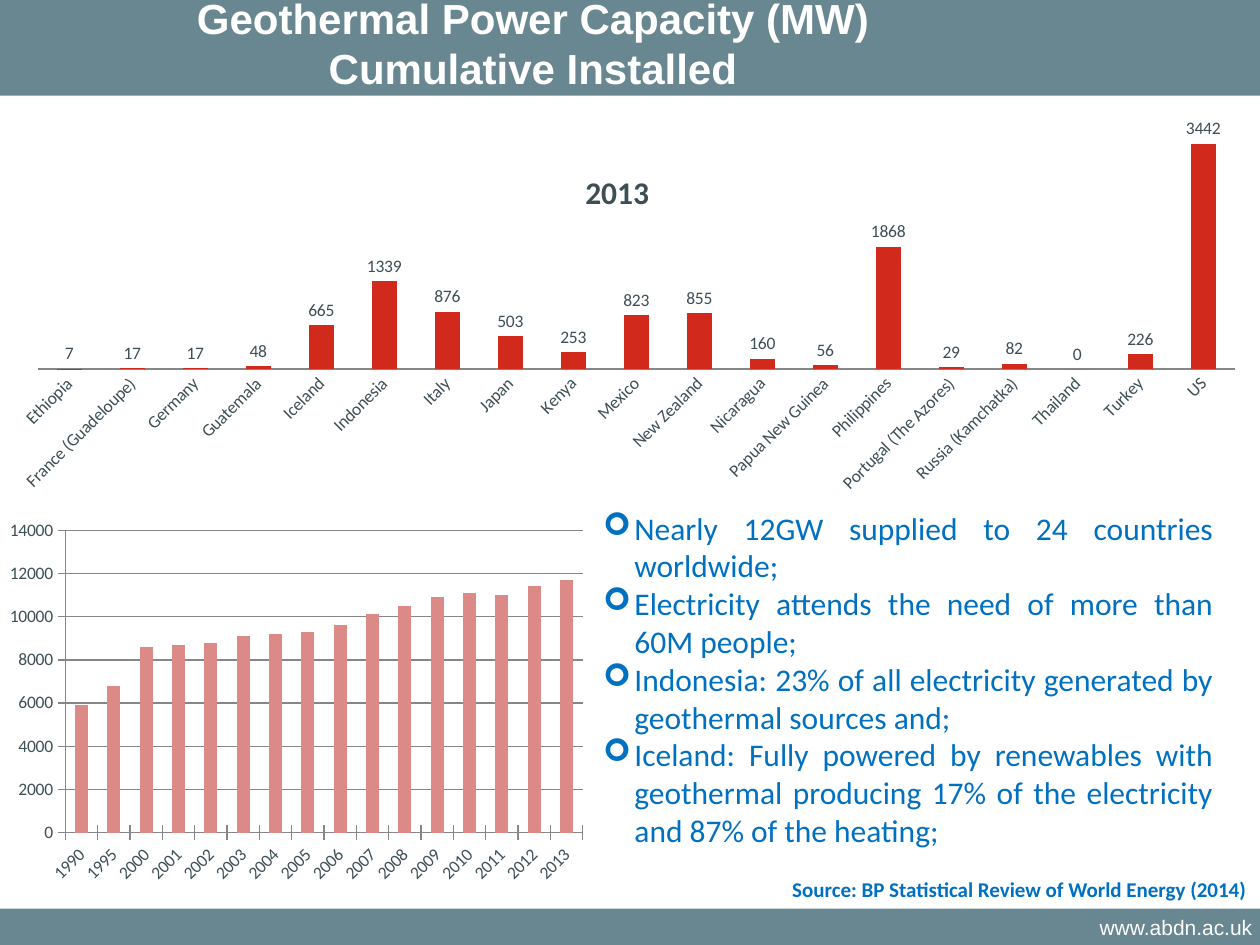
from lxml import etree
from pptx import Presentation
from pptx.chart.data import CategoryChartData
from pptx.dml.color import RGBColor
from pptx.enum import chart as charts, shapes, text
from pptx.oxml import parse_xml
from pptx.oxml.ns import nsdecls, qn
from pptx.util import Cm, Pt

TEAL = RGBColor(0x68, 0x87, 0x91)
WHITE = RGBColor(0xFF, 0xFF, 0xFF)
BLUE = RGBColor(0x00, 0x70, 0xC0)
SLATE = RGBColor(0x3D, 0x4F, 0x55)
GREY = RGBColor(0x86, 0x86, 0x86)
RED = RGBColor(0xD1, 0x2A, 0x1D)
PINK = RGBColor(0xDC, 0x8A, 0x87)

TITLE = ["Geothermal Power Capacity (MW)", "Cumulative Installed"]
FACTS = [
    "Nearly 12GW supplied to 24 countries worldwide;",
    "Electricity attends the need of more than 60M people;",
    "Indonesia: 23% of all electricity generated by geothermal sources and;",
    "Iceland: Fully powered by renewables with geothermal producing 17% of the "
    "electricity and 87% of the heating;",
]
SOURCE = ["Source: BP Statistical Review of World Energy (2014)"]
WEBSITE = ["www.abdn.ac.uk"]
COUNTRIES = {
    "Ethiopia": 7, "France (Guadeloupe)": 17, "Germany": 17, "Guatemala": 48,
    "Iceland": 665, "Indonesia": 1339, "Italy": 876, "Japan": 503, "Kenya": 253,
    "Mexico": 823, "New Zealand": 855, "Nicaragua": 160, "Papua New Guinea": 56,
    "Philippines": 1868, "Portugal (The Azores)": 29, "Russia (Kamchatka)": 82,
    "Thailand": 0, "Turkey": 226, "US": 3442,
}
YEARS = {
    "1990": 5900, "1995": 6800, "2000": 8600, "2001": 8700, "2002": 8800,
    "2003": 9100, "2004": 9200, "2005": 9300, "2006": 9600, "2007": 10100,
    "2008": 10500, "2009": 10900, "2010": 11100, "2011": 11000, "2012": 11400,
    "2013": 11700,
}
WIDTH, HEIGHT = 25.4, 19.05
HEADER, FOOTER = 1.93, 0.73


def add_band(slide, top, height):
    band = slide.shapes.add_shape(
        shapes.MSO_SHAPE.RECTANGLE, 0, Cm(top), Cm(WIDTH), Cm(height))
    band.shadow.inherit = False
    band.fill.solid()
    band.fill.fore_color.rgb = TEAL
    band.line.fill.background()


def add_text(slide, box, lines, font, size, color, align, bold=False, bullet=None, wrap=True):
    frame = slide.shapes.add_textbox(*map(Cm, box)).text_frame
    frame.word_wrap = wrap
    for index, line in enumerate(lines):
        paragraph = frame.paragraphs[0] if index == 0 else frame.add_paragraph()
        paragraph.alignment = align
        if bullet:
            properties = paragraph._p.get_or_add_pPr()
            properties.set("marL", str(Cm(0.63)))
            properties.set("indent", str(Cm(-0.63)))
            etree.SubElement(properties, qn("a:buFont")).set("typeface", "Wingdings")
            etree.SubElement(properties, qn("a:buChar")).set("char", bullet)
        run = paragraph.add_run()
        run.text = line
        run.font.name = font
        run.font.size = Pt(size)
        run.font.bold = bold
        run.font.color.rgb = color


def layout_xml(x, y, size=None, inner=False):
    parts = [("layoutTarget", "inner")] if inner else []
    parts += [("xMode", "edge"), ("yMode", "edge"), ("x", x), ("y", y)]
    if size:
        parts += [("w", size[0]), ("h", size[1])]
    body = "".join(f'<c:{name} val="{value}"/>' for name, value in parts)
    return parse_xml(f'<c:layout {nsdecls("c")}><c:manualLayout>{body}'
                     "</c:manualLayout></c:layout>")


def add_columns(slide, box, values, color, plot_box, maximum):
    data = CategoryChartData(number_format="0")
    data.categories = list(values)
    data.add_series("Series 1", list(values.values()))
    chart = slide.shapes.add_chart(
        charts.XL_CHART_TYPE.COLUMN_CLUSTERED, *map(Cm, box), data).chart
    chart.has_legend = chart.has_title = False
    chart.font.name = "Calibri"
    chart.font.size = Pt(10)
    chart.font.color.rgb = SLATE
    plot = chart.plots[0]
    plot.vary_by_categories = False
    plot.gap_width = 150
    series = plot.series[0]
    series.format.fill.solid()
    series.format.fill.fore_color.rgb = color
    for axis in (chart.category_axis, chart.value_axis):
        axis.format.line.color.rgb = GREY
        axis.major_tick_mark = charts.XL_TICK_MARK.CROSS
    chart.category_axis.tick_labels.font.size = Pt(10)
    chart.category_axis._element.txPr.bodyPr.set("rot", "-2700000")
    chart.value_axis.minimum_scale = 0
    chart.value_axis.maximum_scale = maximum
    area = chart._chartSpace.chart.plotArea
    for old in area.findall(qn("c:layout")):
        area.remove(old)
    area.insert(0, layout_xml(*plot_box[:2], plot_box[2:], True))
    return chart


def add_year_chart(slide):
    chart = add_columns(slide, (0, 10.31, 11.99, 7.62), YEARS, PINK,
                        (0.11, 0.05, 0.87, 0.8), 14000)
    chart.value_axis.major_unit = 2000
    chart.value_axis.has_major_gridlines = True
    chart.value_axis.major_gridlines.format.line.color.rgb = GREY


def add_country_chart(slide):
    chart = add_columns(slide, (0, 0.53, WIDTH, 9.6), COUNTRIES, RED,
                        (0.03, 0.17, 0.95, 0.55), 4000)
    chart.category_axis.major_tick_mark = charts.XL_TICK_MARK.NONE
    chart.value_axis.has_major_gridlines = False
    chart.value_axis.visible = False
    plot = chart.plots[0]
    plot.overlap = -25
    plot.has_data_labels = True
    labels = plot.data_labels
    labels.show_value = True
    labels.number_format = "0"
    labels.number_format_is_linked = False
    labels.position = charts.XL_LABEL_POSITION.OUTSIDE_END
    chart.has_title = True
    run = chart.chart_title.text_frame.paragraphs[0].add_run()
    run.text = "2013"
    run.font.name = "Calibri"
    run.font.size = Pt(18)
    run.font.bold = True
    run.font.color.rgb = SLATE
    title = chart.chart_title._element
    for old in title.findall(qn("c:layout")):
        title.remove(old)
    title.find(qn("c:tx")).addnext(layout_xml(0.46, 0.29))
    chart.chart_title.include_in_layout = True


def main():
    presentation = Presentation()
    presentation.slide_width, presentation.slide_height = Cm(WIDTH), Cm(HEIGHT)
    slide = presentation.slides.add_slide(presentation.slide_layouts[6])
    align = text.PP_ALIGN
    add_band(slide, HEIGHT - FOOTER, FOOTER)
    add_band(slide, 0, HEADER)
    add_text(slide, (18.9, 18.31, 6.6, 0.91), WEBSITE, "Arial", 12, WHITE, align.RIGHT)
    add_year_chart(slide)
    add_text(slide, (0, -0.28, 21.49, 2.31), TITLE, "Arial", 24, WHITE, align.CENTER, bold=True)
    add_text(slide, (15.72, 17.55, 9.78, 0.76), SOURCE, "Calibri", 12, BLUE, align.LEFT,
             bold=True, wrap=False)
    add_country_chart(slide)
    add_text(slide, (11.91, 10.13, 12.8, 7.19), FACTS, "Calibri", 18, BLUE, align.JUSTIFY,
             bullet="➢")
    presentation.save("out.pptx")


if __name__ == "__main__":
    main()
